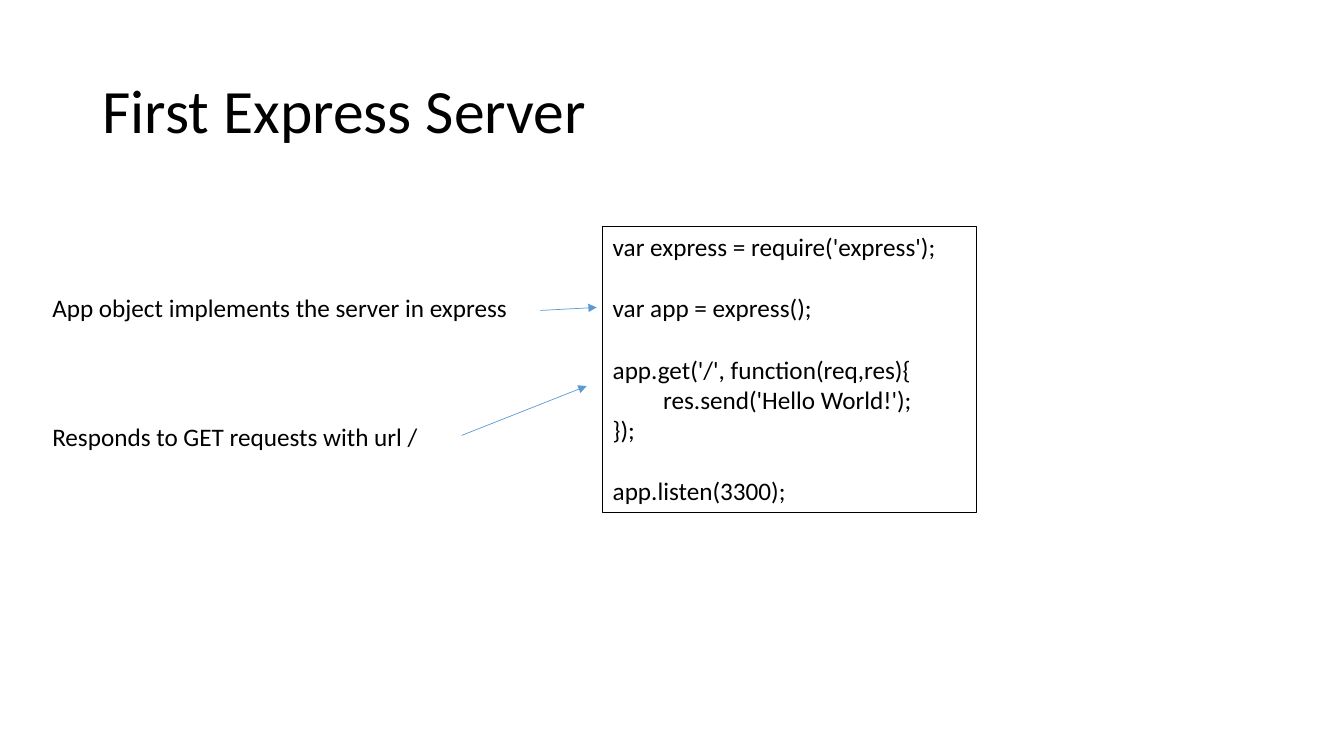
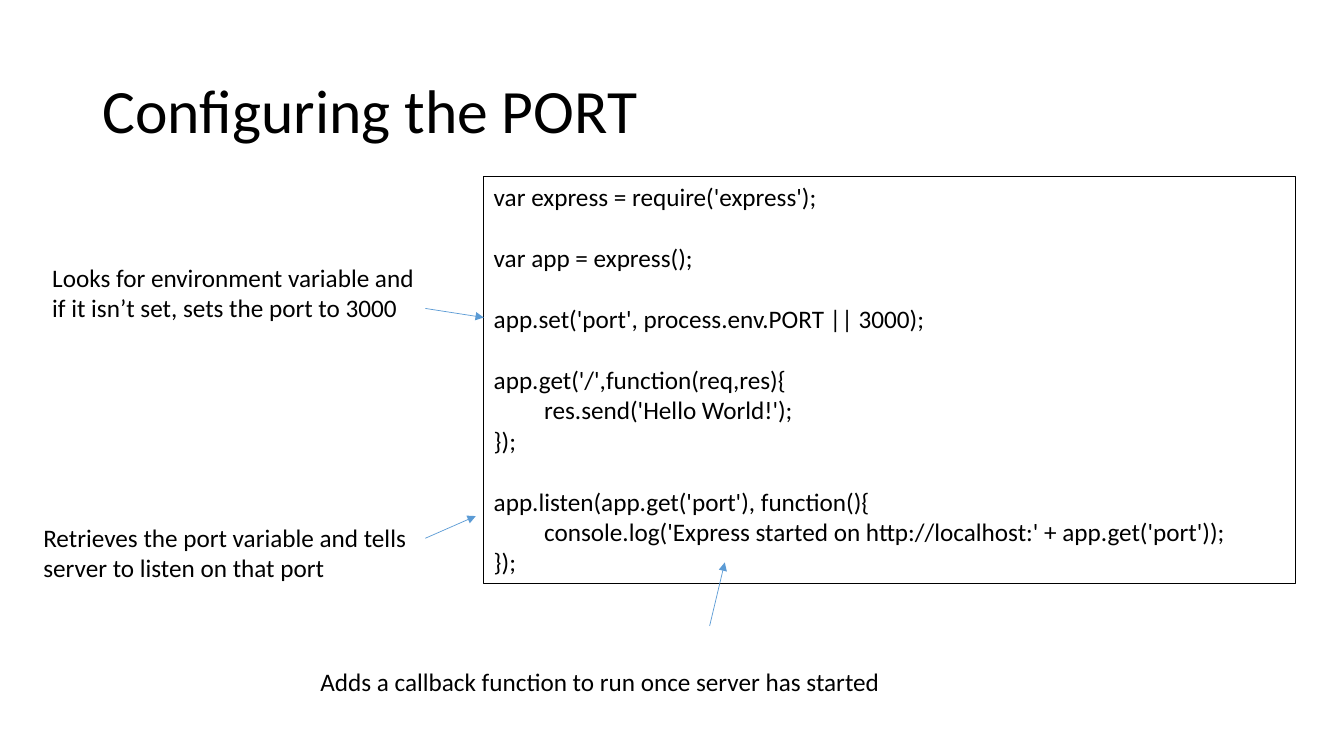
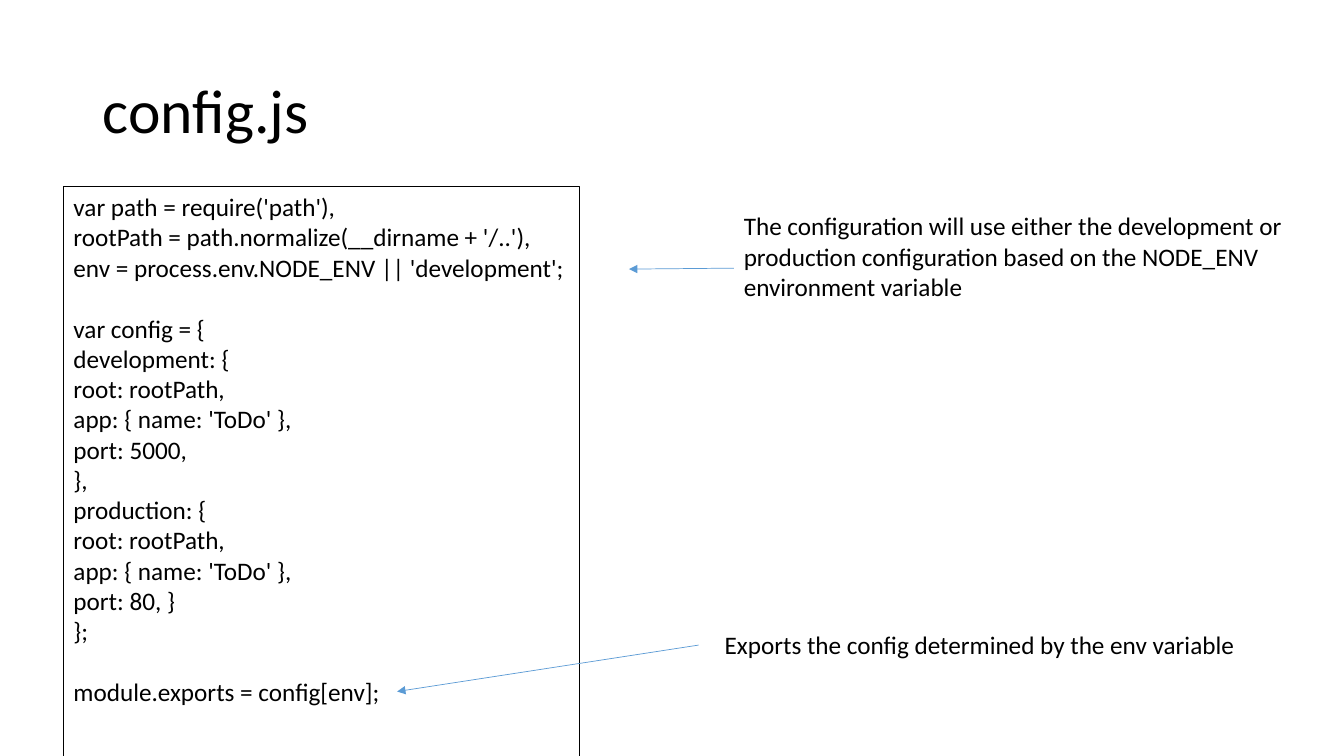
from lxml import etree
from pptx import Presentation
from pptx import util as u
from pptx.dml.color import RGBColor
from pptx.enum import shapes, text
from pptx.oxml.ns import qn

COLOURS = {"text": "000000", "outline": "000000", "arrow": "5B9BD5"}
FONT = "Calibri"
BODY_SIZE = 18
LINE_POINTS = 22      # height of one blank code line
LINE_HEIGHT = 4.045   # one text line, in percent of the slide height
PADDING = 1.33        # top and bottom inset together, in percent
TITLE_AREA = (6.88, 5.33, 86.25, 19.33)

# Places are percentages of the slide's width and height.
# A code listing is a list of blocks, parted by one blank line.
SLIDES = [
    {
        "title": "First Express Server",
        "code": {
            "at": (44.85, 30), "width": 27.83, "lines": 9,
            "blocks": [
                ["var express = require('express');"],
                ["var app = express();"],
                ["app.get('/', function(req,res){",
                 "\tres.send('Hello World!');",
                 "});"],
                ["app.listen(3300);"],
            ],
        },
        "notes": [
            {"at": (3.15, 38), "width": 35.78,
             "lines": ["App object implements the server in express"],
             "arrow": ((40.2, 41.07), (44.4, 40.67))},
            {"at": (3.15, 55.07), "width": 29.03,
             "lines": ["Responds to GET requests with url /"],
             "arrow": ((34.35, 57.6), (43.65, 51.07))},
        ],
    },
    {
        "title": "Configuring the PORT",
        "code": {
            "at": (36, 23.33), "width": 60.38, "lines": 13,
            "blocks": [
                ["var express = require('express');"],
                ["var app = express();"],
                ["app.set('port', process.env.PORT || 3000);"],
                ["app.get('/',function(req,res){",
                 "\tres.send('Hello World!');",
                 "});"],
                ["app.listen(app.get('port'), function(){",
                 "\tconsole.log('Express started on http://localhost:'"
                 " + app.get('port'));",
                 "});"],
            ],
        },
        "notes": [
            {"at": (3.15, 34), "width": 28.73,
             "lines": ["Looks for environment variable and",
                       "if it isn’t set, sets the port to 3000"],
             "arrow": ((31.65, 40.8), (36, 42))},
            {"at": (2.48, 68.4), "width": 28.8,
             "lines": ["Retrieves the port variable and tells",
                       "server to listen on that port"],
             "arrow": ((31.65, 71.2), (35.4, 68.27))},
            {"at": (23.1, 87.47), "width": 43.65,
             "lines": ["Adds a callback function to run once server has started"],
             "arrow": ((52.8, 82.8), (53.93, 74.4))},
        ],
    },
    {
        "title": "config.js",
        "code": {
            "at": (4.73, 24.67), "width": 38.4, "lines": 19,
            "blocks": [
                ["var path = require('path'),",
                 "rootPath = path.normalize(__dirname + '/..'),",
                 "env = process.env.NODE_ENV || 'development';"],
                ["var config = {",
                 "development: {",
                 "root: rootPath,",
                 "app: { name: 'ToDo' },",
                 "port: 5000,",
                 "},",
                 "production: {",
                 "root: rootPath,",
                 "app: { name: 'ToDo' },",
                 "port: 80, }",
                 "};"],
                ["module.exports = config[env];"],
            ],
        },
        "notes": [
            {"at": (54.6, 27.2), "width": 42.53,
             "lines": ["The configuration will use either the development or",
                       "production configuration based on the NODE_ENV",
                       "environment variable"],
             "arrow": ((54.6, 35.47), (46.8, 35.6))},
            {"at": (53.18, 82.53), "width": 39.9,
             "lines": ["Exports the config determined by the env variable"],
             "arrow": ((51.98, 85.33), (29.55, 91.47))},
        ],
    },
]

presentation = Presentation()
presentation.slide_width = u.Inches(13.333)
presentation.slide_height = u.Inches(7.5)


def colour(name):
    """Return the named colour."""
    return RGBColor.from_string(COLOURS[name])


def across(share):
    """Turn a percentage of the slide width into a length."""
    return round(presentation.slide_width * share / 100)


def down(share):
    """Turn a percentage of the slide height into a length."""
    return round(presentation.slide_height * share / 100)


def format_paragraph(paragraph, size):
    """Left-align a paragraph and set the font of its runs."""
    paragraph.alignment = text.PP_ALIGN.LEFT
    for run in paragraph.runs:
        run.font.name = FONT
        run.font.size = u.Pt(size)
        run.font.color.rgb = colour("text")


def add_title(slide, title):
    """Fill and place the title placeholder."""
    shape = slide.shapes.title
    left, top, width, height = TITLE_AREA
    shape.left, shape.top = across(left), down(top)
    shape.width, shape.height = across(width), down(height)
    frame = shape.text_frame
    frame.text = title
    frame.auto_size = text.MSO_AUTO_SIZE.NONE
    frame.vertical_anchor = text.MSO_ANCHOR.MIDDLE
    frame.paragraphs[0].line_spacing = 0.9
    format_paragraph(frame.paragraphs[0], 44)


def add_text(slide, at, width, line_count, blocks):
    """Add a text box holding blocks of lines, one blank line apart."""
    left, top = at
    height = line_count * LINE_HEIGHT + PADDING
    box = slide.shapes.add_textbox(across(left), down(top), across(width), down(height))
    frame = box.text_frame
    frame.word_wrap = True
    frame.text = "\n".join(line for block in blocks for line in block)
    for paragraph in frame.paragraphs:
        format_paragraph(paragraph, BODY_SIZE)
    block_start = 0
    for block in blocks[:-1]:
        block_start += len(block)
        frame.paragraphs[block_start].space_before = u.Pt(LINE_POINTS)
    return box


def add_code(slide, code):
    """Add an outlined code listing."""
    box = add_text(slide, code["at"], code["width"], code["lines"], code["blocks"])
    box.line.color.rgb = colour("outline")
    box.line.width = u.Pt(0.75)


def add_arrow(slide, start, end):
    """Add a thin straight arrow from start to end."""
    arrow = slide.shapes.add_connector(
        shapes.MSO_CONNECTOR.STRAIGHT,
        across(start[0]), down(start[1]), across(end[0]), down(end[1]))
    arrow.line.color.rgb = colour("arrow")
    arrow.line.width = u.Pt(0.5)
    etree.SubElement(arrow.line._get_or_add_ln(), qn("a:tailEnd"), type="triangle")
    etree.SubElement(arrow._element.spPr, qn("a:effectLst"))


for content in SLIDES:
    slide = presentation.slides.add_slide(presentation.slide_layouts[5])
    add_title(slide, content["title"])
    add_code(slide, content["code"])
    for note in content["notes"]:
        add_text(slide, note["at"], note["width"], len(note["lines"]), [note["lines"]])
        add_arrow(slide, *note["arrow"])

presentation.save("out.pptx")
